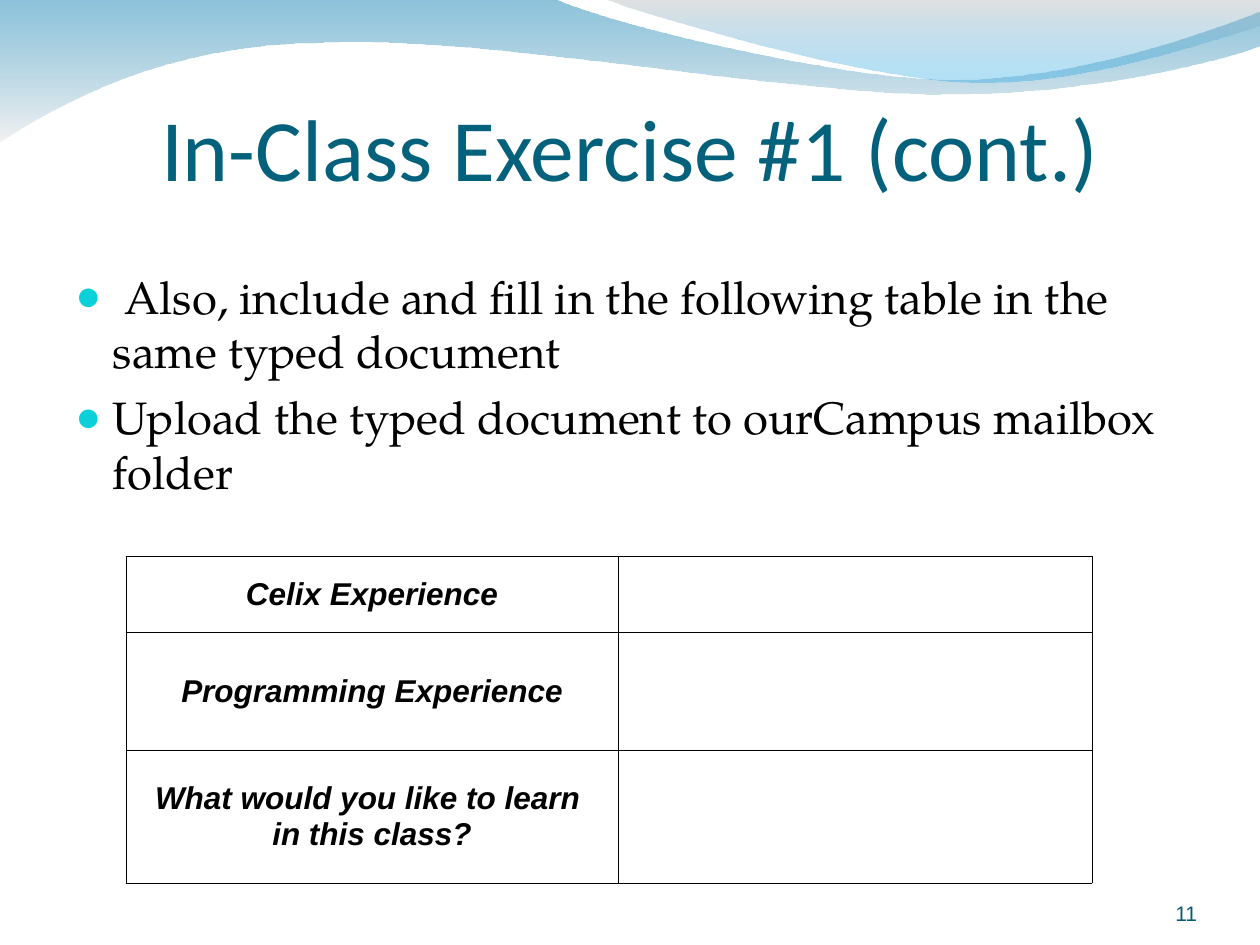
from lxml.etree import SubElement
from pptx import Presentation
from pptx.dml.color import RGBColor
from pptx.enum.text import MSO_ANCHOR, PP_ALIGN
from pptx.oxml.ns import qn
from pptx.util import Pt

THEME = {
    "title": {"font": "Calibri", "size": 50, "color": "04617B"},
    "body": {"font": "TeX Gyre Pagella", "size": 26, "color": "000000"},
    "label": {"font": "Arial", "size": 18, "color": "000000", "bold": True, "italic": True},
    "number": {"font": "Arial", "size": 12, "color": "045C75"},
    "bullet": {"font": "Arial", "color": "0BD0D9"},
    "border": "000000",
}

TITLE = "In-Class Exercise #1 (cont.)"
BULLETS = [
    " Also, include and fill in the following table in the same typed document",
    "Upload the typed document to ourCampus mailbox folder",
]
SLIDE_NUMBER = "11"
TABLE_LABELS = [
    "Celix Experience",
    "Programming Experience",
    "What would you like to learn \vin this class?",
]
COLUMN_WIDTHS = [281.2, 270.8]
ROW_HEIGHTS = [43.4, 67.4, 75.8]

# Each wave is a start point followed by lines (one point) and cubic curves (three points).
# Gradient stops, from top to bottom, are (colour, opacity in percent).
WAVES = [
    {
        "start": (0, -0.7),
        "segments": [
            [(316.8, -0.7)],
            [(342.7, 12.2), (478.1, 45.4), (545.8, 45.4)],
            [(614.2, 45.4), (689.8, 18.7), (720, 6.5)],
            [(720.7, 25.9)],
            [(707.8, 31.7), (626.4, 54.7), (537.1, 54)],
            [(447.8, 54), (275, 20.2), (185, 24.5)],
            [(92.9, 25.2), (33.1, 59.8), (-0.7, 81.4)],
        ],
        "stops": [("0079AF", 45), ("E7E7E7", 55)],
    },
    {
        "start": (344.9, -0.7),
        "segments": [
            [(366.5, 7.9), (491, 44.6), (553.7, 46.8)],
            [(616.3, 49.7), (691.9, 23), (720, 15.1)],
            [(720, 0)],
        ],
        "stops": [("BCBCBC", 45), ("009BE5", 30)],
    },
]


def points(*values):
    return [Pt(value) for value in values]


def bend_lines(shape, segments):
    """Turn the straight segments that have control points into cubic curves."""
    lines = list(shape._element.iter(qn("a:lnTo")))
    for line, segment in zip(lines, segments):
        if len(segment) == 1:
            continue
        line.tag = qn("a:cubicBezTo")
        line.remove(line[0])
        for x, y in segment:
            SubElement(line, qn("a:pt"), x=str(Pt(x) - shape.left), y=str(Pt(y) - shape.top))


def add_wave(slide, start, segments, stops):
    builder = slide.shapes.build_freeform(*points(*start))
    builder.add_line_segments([points(*segment[-1]) for segment in segments], close=True)
    shape = builder.convert_to_shape()
    bend_lines(shape, segments)
    shape.shadow.inherit = False
    shape.line.fill.background()
    shape.fill.gradient()
    shape.fill.gradient_angle = 270
    for stop, (color, opacity) in zip(shape.fill.gradient_stops, stops):
        stop.color.rgb = RGBColor.from_string(color)
    for element, (color, opacity) in zip(shape._element.iter(qn("a:srgbClr")), stops):
        SubElement(element, qn("a:alpha"), val=str(opacity * 1000))


def add_bullet(paragraph):
    properties = paragraph._p.get_or_add_pPr()
    properties.set("marL", str(Pt(21.5)))
    properties.set("indent", str(-Pt(21.5)))
    color = SubElement(properties, qn("a:buClr"))
    SubElement(color, qn("a:srgbClr"), val=THEME["bullet"]["color"])
    SubElement(properties, qn("a:buSzPct"), val="95000")
    SubElement(properties, qn("a:buFont"), typeface=THEME["bullet"]["font"])
    SubElement(properties, qn("a:buChar"), char="●")


def write(frame, texts, font, size, color, bold=False, italic=False,
          align=PP_ALIGN.LEFT, bullet=False, gap=0):
    """Write one paragraph per text, with a gap before all but the first."""
    frame.word_wrap = True
    for index, text in enumerate(texts):
        paragraph = frame.add_paragraph() if index else frame.paragraphs[0]
        paragraph.text = text
        paragraph.alignment = align
        if bullet:
            add_bullet(paragraph)
        if index and gap:
            paragraph.space_before = Pt(gap)
        for run in paragraph.runs:
            run.font.name = font
            run.font.size = Pt(size)
            run.font.bold = bold
            run.font.italic = italic
            run.font.color.rgb = RGBColor.from_string(color)


def add_text(slide, box, texts, anchor=MSO_ANCHOR.TOP, margins=(7.2, 3.6, 7.2, 3.6), **style):
    frame = slide.shapes.add_textbox(*points(*box)).text_frame
    frame.vertical_anchor = anchor
    (frame.margin_left, frame.margin_top,
     frame.margin_right, frame.margin_bottom) = points(*margins)
    write(frame, texts, **style)


def add_borders(cell):
    properties = cell._tc.get_or_add_tcPr()
    for index, side in enumerate(("lnL", "lnR", "lnT", "lnB")):
        line = properties.makeelement(qn(f"a:{side}"), {"w": str(Pt(0.45))})
        fill = SubElement(line, qn("a:solidFill"))
        SubElement(fill, qn("a:srgbClr"), val=THEME["border"])
        properties.insert(index, line)


def add_experience_table(slide):
    box = points(72, 318, sum(COLUMN_WIDTHS), sum(ROW_HEIGHTS))
    table = slide.shapes.add_table(len(ROW_HEIGHTS), len(COLUMN_WIDTHS), *box).table
    table.first_row = table.horz_banding = False
    for column, width in zip(table.columns, COLUMN_WIDTHS):
        column.width = Pt(width)
    for row, height, label in zip(table.rows, ROW_HEIGHTS, TABLE_LABELS):
        row.height = Pt(height)
        write(row.cells[0].text_frame, [label], align=PP_ALIGN.CENTER, **THEME["label"])
        for cell in row.cells:
            cell.vertical_anchor = MSO_ANCHOR.MIDDLE
            cell.fill.background()
            add_borders(cell)


def main():
    presentation = Presentation()
    presentation.slide_width, presentation.slide_height = points(720, 540)
    slide = presentation.slides.add_slide(presentation.slide_layouts[6])
    for wave in WAVES:
        add_wave(slide, **wave)
    add_text(slide, (36, 55.5, 648, 58.5), [TITLE], anchor=MSO_ANCHOR.BOTTOM,
             margins=(0, 3.6, 0, 0), align=PP_ALIGN.CENTER, **THEME["title"])
    add_text(slide, (36, 150, 648, 348), BULLETS, bullet=True, gap=6.5, **THEME["body"])
    add_text(slide, (624, 500.4, 60, 28.8), [SLIDE_NUMBER], anchor=MSO_ANCHOR.BOTTOM,
             margins=(0, 0, 0, 0), align=PP_ALIGN.RIGHT, **THEME["number"])
    add_experience_table(slide)
    presentation.save("out.pptx")


if __name__ == "__main__":
    main()
